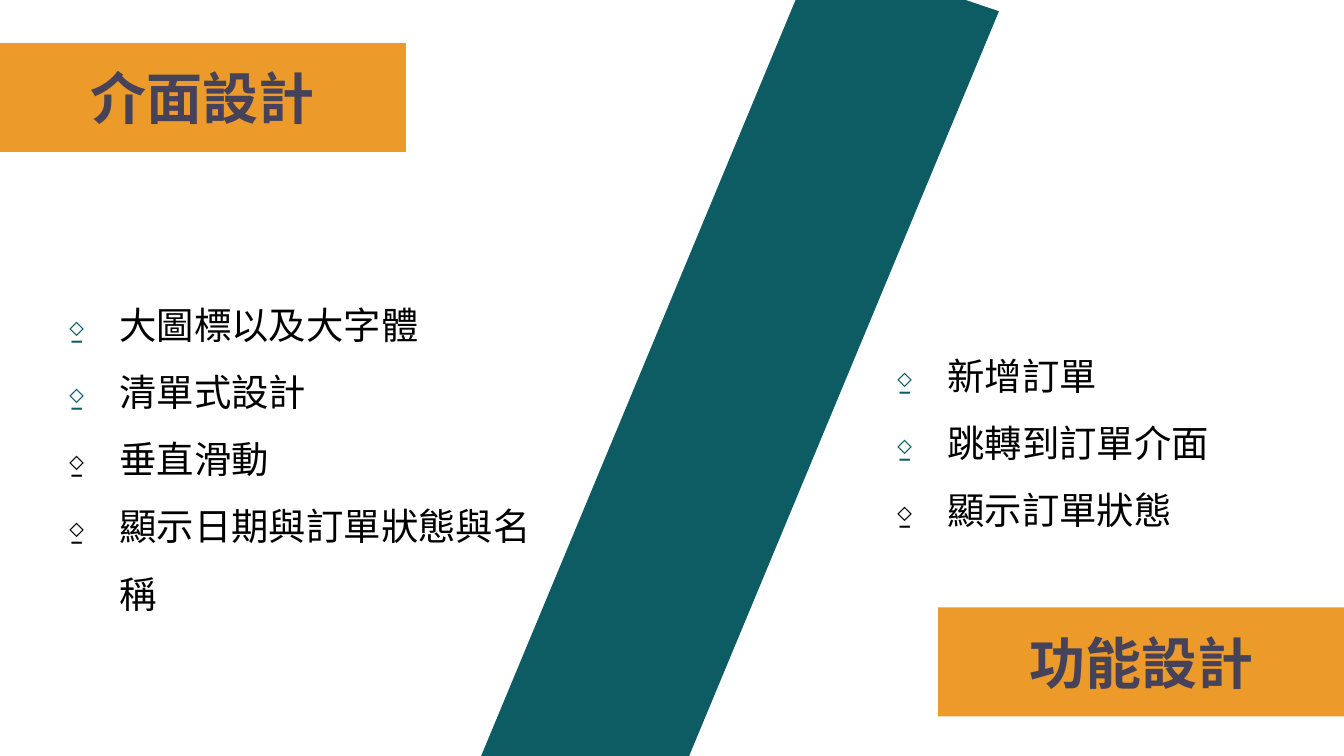
from dataclasses import dataclass

from lxml.etree import SubElement
from pptx import Presentation
from pptx.dml.color import RGBColor as Color
from pptx.enum.shapes import MSO_SHAPE as Shape
from pptx.enum.text import MSO_ANCHOR as Anchor, MSO_AUTO_SIZE as AutoSize, PP_ALIGN as Align
from pptx.oxml.ns import qn
from pptx.util import Pt

EMU_PER_PX = 4572


@dataclass(frozen=True)
class Theme:
    font: str = "Arial"
    teal: str = "0D5C63"
    orange: str = "EC9A29"
    heading: str = "45425A"
    body: str = "000000"
    heading_size: int = 30
    body_size: int = 20
    line_spacing: float = 1.5
    bullet: str = "⍚"


THEME = Theme()


def px(length):
    return length * EMU_PER_PX


def add_filled_shape(slide, kind, box, color):
    shape = slide.shapes.add_shape(kind, *map(px, box))
    shape.shadow.inherit = False
    shape.fill.solid()
    shape.fill.fore_color.rgb = Color.from_string(color)
    shape.line.fill.background()
    return shape


def set_insets(frame, inset=20):
    frame.margin_left = frame.margin_right = px(inset)
    frame.margin_top = frame.margin_bottom = px(inset)
    frame.word_wrap = True


def write_text(paragraph, text, *, size, color, bold=False, align=Align.LEFT):
    paragraph.alignment = align
    run = paragraph.add_run()
    run.text = text
    run.font.name = THEME.font
    run.font.size = Pt(size)
    run.font.bold = bold
    run.font.color.rgb = Color.from_string(color)


def set_bullet(paragraph, color, indent=100, hanging=78):
    paragraph.line_spacing = THEME.line_spacing
    properties = paragraph._p.get_or_add_pPr()
    properties.set("marL", str(px(indent)))
    properties.set("indent", str(px(-hanging)))
    bullet_color = SubElement(properties, qn("a:buClr"))
    SubElement(bullet_color, qn("a:srgbClr"), val=color)
    SubElement(properties, qn("a:buFont"), typeface=THEME.font)
    SubElement(properties, qn("a:buChar"), char=THEME.bullet)


def add_divider(slide, box, rotation):
    divider = add_filled_shape(slide, Shape.PARALLELOGRAM, box, THEME.teal)
    divider.adjustments[0] = 0.25
    divider.rotation = rotation


def add_banner(slide, box, title):
    frame = add_filled_shape(slide, Shape.RECTANGLE, box, THEME.orange).text_frame
    set_insets(frame)
    frame.vertical_anchor = Anchor.MIDDLE
    write_text(frame.paragraphs[0], title, size=THEME.heading_size,
               color=THEME.heading, bold=True, align=Align.CENTER)


def add_bullet_list(slide, box, items, teal_bullets=2):
    frame = slide.shapes.add_textbox(*map(px, box)).text_frame
    set_insets(frame)
    frame.auto_size = AutoSize.SHAPE_TO_FIT_TEXT
    for index, item in enumerate(items):
        paragraph = frame.paragraphs[0] if index == 0 else frame.add_paragraph()
        write_text(paragraph, item, size=THEME.body_size, color=THEME.body)
        set_bullet(paragraph, THEME.teal if index < teal_bullets else THEME.body)


def build_design_slide(presentation):
    slide = presentation.slides.add_slide(presentation.slide_layouts[6])
    add_divider(slide, (896, -80, 382, 1370), 18.6)
    add_banner(slide, (0, 64, 604, 162), "介面設計")
    add_banner(slide, (1396, 904, 604, 162), "功能設計")
    add_bullet_list(slide, (58, 396, 762, 512),
                    ["大圖標以及大字體", "清單式設計", "垂直滑動", "顯示日期與訂單狀態與名稱"])
    add_bullet_list(slide, (1290, 472, 762, 310),
                    ["新增訂單", "跳轉到訂單介面", "顯示訂單狀態"])


def main():
    presentation = Presentation()
    presentation.slide_width = px(2000)
    presentation.slide_height = px(1125)
    build_design_slide(presentation)
    presentation.save("out.pptx")


if __name__ == "__main__":
    main()
